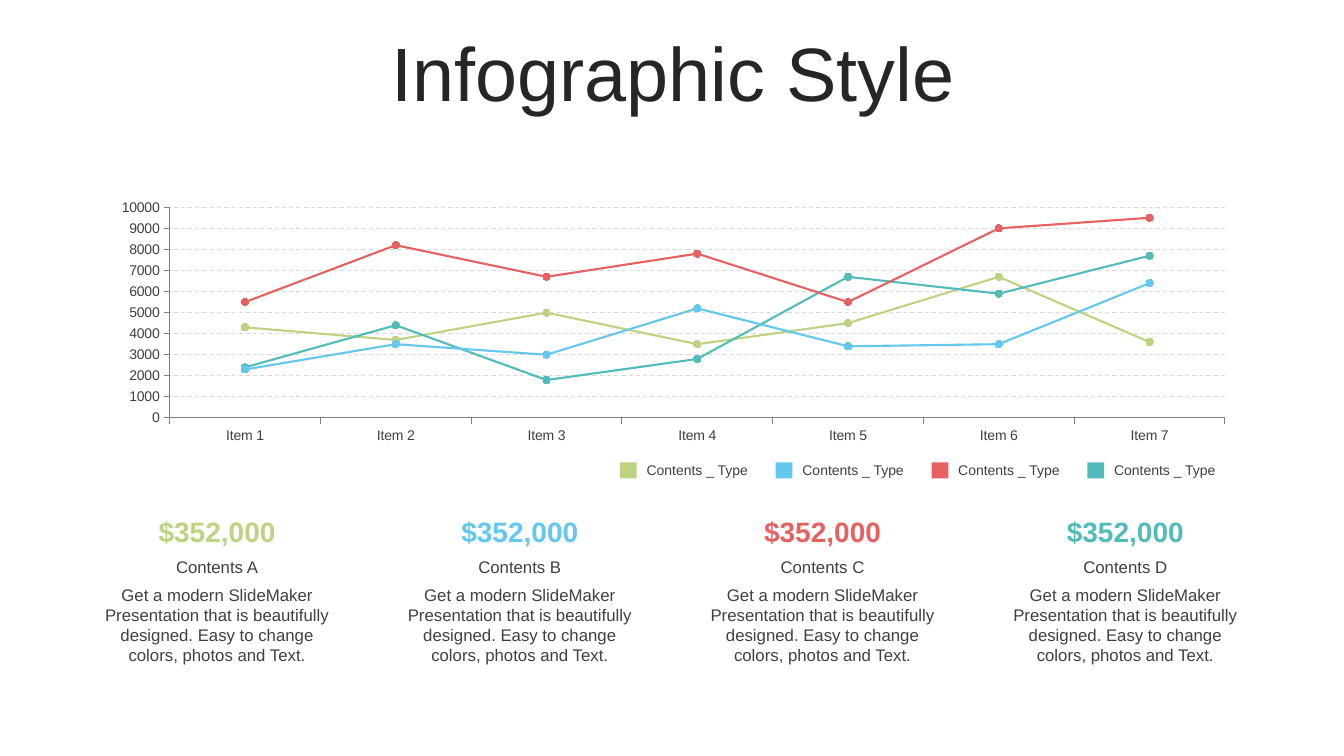
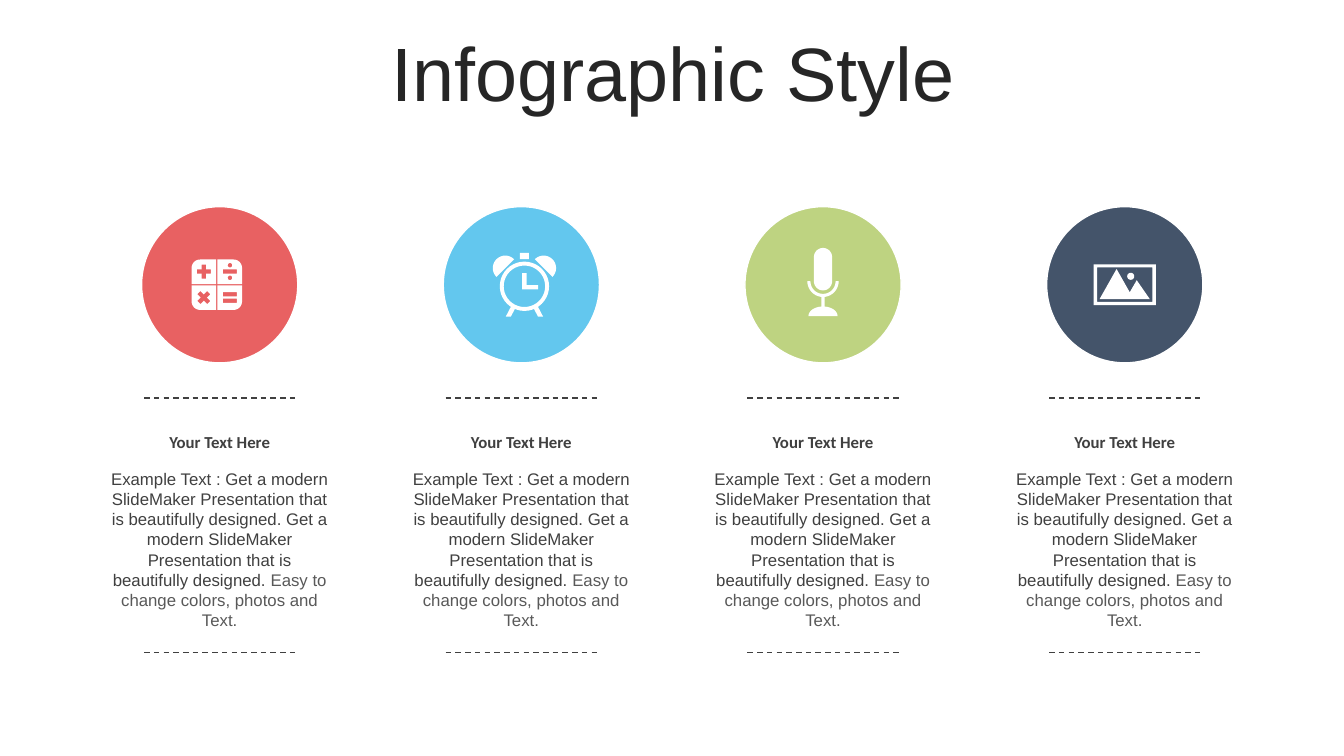
from math import cos, radians, sin

from lxml import etree
from pptx import Presentation
from pptx.chart.data import CategoryChartData
from pptx.dml.color import RGBColor
from pptx.enum import chart as ch, dml, shapes, text
from pptx.oxml import parse_xml
from pptx.oxml.ns import nsdecls, qn
from pptx.util import Pt

GREEN = RGBColor(0xBE, 0xD3, 0x81)
BLUE = RGBColor(0x63, 0xC7, 0xEE)
RED = RGBColor(0xE8, 0x61, 0x62)
TEAL = RGBColor(0x51, 0xBC, 0xB9)
NAVY = RGBColor(0x44, 0x54, 0x6A)
WHITE = RGBColor(0xFF, 0xFF, 0xFF)
TITLE_INK = RGBColor(0x26, 0x26, 0x26)
INK = RGBColor(0x40, 0x40, 0x40)
SOFT_INK = RGBColor(0x59, 0x59, 0x59)
AXIS = RGBColor(0x80, 0x80, 0x80)
GRID = RGBColor(0xD9, 0xD9, 0xD9)
FONT = "Arial"

TITLE = "Infographic Style"
CATEGORIES = [f"Item {n}" for n in range(1, 8)]
SERIES = [
    ("Series 1", GREEN, (4300, 3700, 5000, 3500, 4500, 6700, 3600)),
    ("Series 2", TEAL, (2400, 4400, 1800, 2800, 6700, 5900, 7700)),
    ("Series 3", BLUE, (2300, 3500, 3000, 5200, 3400, 3500, 6400)),
    ("Series 4", RED, (5500, 8200, 6700, 7800, 5500, 9000, 9500)),
]
LEGEND = "Contents _ Type"
AMOUNT = "$352,000"
AMOUNT_COLUMNS = [
    ("Contents A", GREEN), ("Contents B", BLUE),
    ("Contents C", RED), ("Contents D", TEAL),
]
AMOUNT_BODY = ("Get a modern SlideMaker Presentation that is beautifully designed. "
               "Easy to change colors, photos and Text.")
ICON_HEADING = "Your Text Here"
ICON_BODY = ("Example Text : " + "Get a modern SlideMaker Presentation "
             "that is beautifully designed. Get a modern SlideMaker Presentation "
             "that is beautifully designed. ")
ICON_BODY_END = "Easy to change colors, photos and Text."


# Icon outlines are lists of contours, in points from the icon's centre.
def arc(cx, cy, rx, start, end, ry=None):
    """Points along an ellipse arc, in degrees clockwise from the right."""
    ry = ry or rx
    steps = max(4, int(abs(end - start) / 9))
    angles = [radians(start + (end - start) * n / steps) for n in range(steps + 1)]
    return [(cx + rx * cos(a), cy + ry * sin(a)) for a in angles]


def circle(cx, cy, r):
    return arc(cx, cy, r, 0, 360)


def box(cx, cy, half_w, half_h):
    return [(cx - half_w, cy - half_h), (cx + half_w, cy - half_h),
            (cx + half_w, cy + half_h), (cx - half_w, cy + half_h)]


def flip(points, sx=-1, sy=1):
    return [(x * sx, y * sy) for x, y in points]


def shift(contours, dx, dy):
    return [[(x + dx, y + dy) for x, y in points] for points in contours]


def plus(cx, cy, turn, arm=5, half=1.6):
    quarter = [(half, -half), (arm, -half), (arm, half)]
    points = []
    for angle in range(turn, turn + 360, 90):
        c, s = cos(radians(angle)), sin(radians(angle))
        points += [(cx + x * c - y * s, cy + x * s + y * c) for x, y in quarter]
    return points


def calculator():
    tile = [(0.4, 0.4), (18, 0.4), *arc(12, 12, 6, 0, 90), (0.4, 18)]
    tiles = [flip(tile, sx, sy) for sx in (-1, 1) for sy in (-1, 1)]
    signs = [plus(-9.3, -9.4, 0), plus(-9.3, 9.2, 45), box(9.4, -9.4, 5, 1.5),
             circle(9.4, -13.9, 1.6), circle(9.4, -4.9, 1.6),
             box(9.4, 6.9, 5, 1.5), box(9.4, 11.5, 5, 1.5)]
    return shift(tiles + signs, -2, 0)


def alarm_clock():
    leg = [(-9.7, 14.7), (-6.8, 16.2), (-9.7, 21.6), (-13.3, 21.6)]
    bell = arc(-13.7, -13, 8.9, 135, 315)
    hands = [(-1.6, -9.4), (1.6, -9.4), (1.6, -0.8), (9.7, -0.8),
             (9.7, 2.2), (-1.6, 2.2)]
    return shift([circle(0, 0, 17.6), circle(0, 0, 14.8), hands, leg, flip(leg),
                  bell, flip(bell), box(0, -21.6, 3.2, 2.2)], 2.2, 1.1)


def microphone():
    capsule = arc(0, -19.8, 6.5, 180, 360) + arc(0, -2.5, 6.5, 0, 180)
    cradle = arc(0, -2.5, 11.2, 0, 180) + arc(0, -2.5, 9, 180, 0)
    return [capsule, cradle, box(0, 12.1, 1.1, 3.4),
            arc(0, 22.3, 10.4, 180, 360, 6.8)]


def landscape():
    peaks = [(-5.8, -11.2), (3.6, 5.4), (8.6, -3.2), (18, 10.4), (-18, 10.4)]
    return [box(0, 0, 22.3, 14.6), box(0, 0, 19.8, 12.3), peaks,
            circle(4.3, -6, 2.5)]


ICON_COLUMNS = [(RED, calculator), (BLUE, alarm_clock),
                (GREEN, microphone), (NAVY, landscape)]


def style_font(font, size, color, name=FONT, bold=False):
    font.size, font.name, font.bold = Pt(size), name, bold
    font.color.rgb = color


def new_slide(prs):
    slide = prs.slides.add_slide(prs.slide_layouts[5])
    sp = slide.shapes.title
    sp.left, sp.top, sp.width, sp.height = Pt(25), Pt(26.6), Pt(911.5), Pt(57)
    tf = sp.text_frame
    tf.auto_size = text.MSO_AUTO_SIZE.NONE
    tf.vertical_anchor = text.MSO_ANCHOR.MIDDLE
    p = tf.paragraphs[0]
    p.alignment, p.line_spacing = text.PP_ALIGN.CENTER, 0.9
    r = p.add_run()
    r.text = TITLE
    style_font(r.font, 54, TITLE_INK)
    return slide


def add_text(slide, left, top, width, height, runs, size=12, name=FONT, bold=False,
             align=text.PP_ALIGN.CENTER, anchor=text.MSO_ANCHOR.MIDDLE):
    tf = slide.shapes.add_textbox(Pt(left), Pt(top), Pt(width), Pt(height)).text_frame
    tf.word_wrap, tf.vertical_anchor = True, anchor
    p = tf.paragraphs[0]
    p.alignment = align
    for words, color in runs:
        r = p.add_run()
        r.text = words
        style_font(r.font, size, color, name, bold)


def add_filled(slide, kind, left, top, width, height, color):
    sp = slide.shapes.add_shape(kind, Pt(left), Pt(top), Pt(width), Pt(height))
    sp.shadow.inherit = False
    sp.fill.solid()
    sp.fill.fore_color.rgb = color
    sp.line.fill.background()
    return sp


def add_dashes(slide, left, right, y):
    line = slide.shapes.add_connector(
        shapes.MSO_CONNECTOR.STRAIGHT, Pt(left), Pt(y), Pt(right), Pt(y))
    line.line.color.rgb, line.line.width = INK, Pt(1)
    line.line.dash_style = dml.MSO_LINE.DASH
    etree.SubElement(line._element.spPr, qn("a:effectLst"))


def add_icon(slide, cx, cy, contours):
    builder = None
    for points in contours:
        first, *rest = [(Pt(cx + x), Pt(cy + y)) for x, y in points]
        if builder is None:
            builder = slide.shapes.build_freeform(*first, scale=1.0)
        else:
            builder.move_to(*first)
        builder.add_line_segments(rest, close=True)
    sp = builder.convert_to_shape()
    sp.shadow.inherit = False
    sp.fill.solid()
    sp.fill.fore_color.rgb = WHITE
    sp.line.fill.background()


def set_plot_area(chart, x, y, w, h):
    """Fix the inner plot area, as fractions of the chart frame."""
    plot_area = chart._chartSpace.chart.plotArea
    for old in plot_area.findall(qn("c:layout")):
        plot_area.remove(old)
    sizes = "".join(f'<c:{tag} val="{val}"/>'
                    for tag, val in zip("xywh", (x, y, w, h)))
    plot_area.insert(0, parse_xml(
        f'<c:layout {nsdecls("c")}><c:manualLayout><c:layoutTarget val="inner"/>'
        f'<c:xMode val="edge"/><c:yMode val="edge"/>{sizes}'
        "</c:manualLayout></c:layout>".replace("{sizes}", sizes)))


def add_line_chart(slide):
    data = CategoryChartData()
    data.categories = CATEGORIES
    for name, _, values in SERIES:
        data.add_series(name, values)
    chart = slide.shapes.add_chart(
        ch.XL_CHART_TYPE.LINE_MARKERS, Pt(72), Pt(139), Pt(819.4), Pt(181.4), data).chart
    chart.has_legend = chart.has_title = False
    style_font(chart.font, 10, INK)
    set_plot_area(chart, 0.06, 0.05, 0.92, 0.83)

    for axis in (chart.category_axis, chart.value_axis):
        axis.major_tick_mark = ch.XL_TICK_MARK.OUTSIDE
        axis.minor_tick_mark = ch.XL_TICK_MARK.NONE
        axis.format.line.color.rgb = AXIS
        axis.format.line.width = Pt(0.75)
        style_font(axis.tick_labels.font, 10, INK)
    values = chart.value_axis
    values.minimum_scale, values.maximum_scale, values.major_unit = 0, 10000, 1000
    values.has_major_gridlines = True
    grid = values.major_gridlines.format.line
    grid.color.rgb, grid.width, grid.dash_style = GRID, Pt(0.75), dml.MSO_LINE.DASH

    chart.plots[0].vary_by_categories = False
    for series, (_, color, _) in zip(chart.plots[0].series, SERIES):
        series.smooth = False
        series.format.line.color.rgb, series.format.line.width = color, Pt(1.5)
        marker = series.marker
        marker.style, marker.size = ch.XL_MARKER_STYLE.CIRCLE, 5
        marker.format.fill.solid()
        marker.format.fill.fore_color.rgb = color
        marker.format.line.color.rgb = color


def chart_slide(prs):
    slide = new_slide(prs)
    add_line_chart(slide)
    width = 185
    for n, (label, color) in enumerate(AMOUNT_COLUMNS):
        key = 442.8 + n * 111.3
        add_filled(slide, shapes.MSO_SHAPE.RECTANGLE, key, 330.2, 12, 11.6, color)
        add_text(slide, key + 12, 326.2, 103, 19.4, [(LEGEND, INK)], size=10,
                 align=text.PP_ALIGN.LEFT)
        left = 62.6 + n * 216.25
        add_text(slide, left, 363.6, width, 31.5, [(AMOUNT, color)], size=20, bold=True)
        add_text(slide, left, 393.8, width, 21.8, [(label, INK)])
        add_text(slide, left, 414, width, 65.4, [(AMOUNT_BODY, INK)],
                 anchor=text.MSO_ANCHOR.TOP)


def icon_slide(prs):
    slide = new_slide(prs)
    diameter, width, half_rule = 111.6, 171.4, 54
    circle_top = 147.6
    for n, (color, icon) in enumerate(ICON_COLUMNS):
        cx = 156.9 + n * 215.5
        disc = add_filled(slide, shapes.MSO_SHAPE.OVAL, cx - diameter / 2, circle_top,
                          diameter, diameter, color)
        disc.line.color.rgb, disc.line.width = WHITE, Pt(1)
        add_icon(slide, cx, circle_top + diameter / 2, icon())
        for y in (284.2, 466):
            add_dashes(slide, cx - half_rule, cx + half_rule, y)
        left = cx - width / 2
        add_text(slide, left, 304.6, width, 21.8, [(ICON_HEADING, INK)],
                 name="Calibri", bold=True, anchor=text.MSO_ANCHOR.TOP)
        add_text(slide, left, 331.2, width, 124,
                 [(ICON_BODY, INK), (ICON_BODY_END, SOFT_INK)],
                 anchor=text.MSO_ANCHOR.TOP)


def main():
    prs = Presentation()
    prs.slide_width, prs.slide_height = Pt(960), Pt(540)
    chart_slide(prs)
    icon_slide(prs)
    prs.save("out.pptx")


if __name__ == "__main__":
    main()
